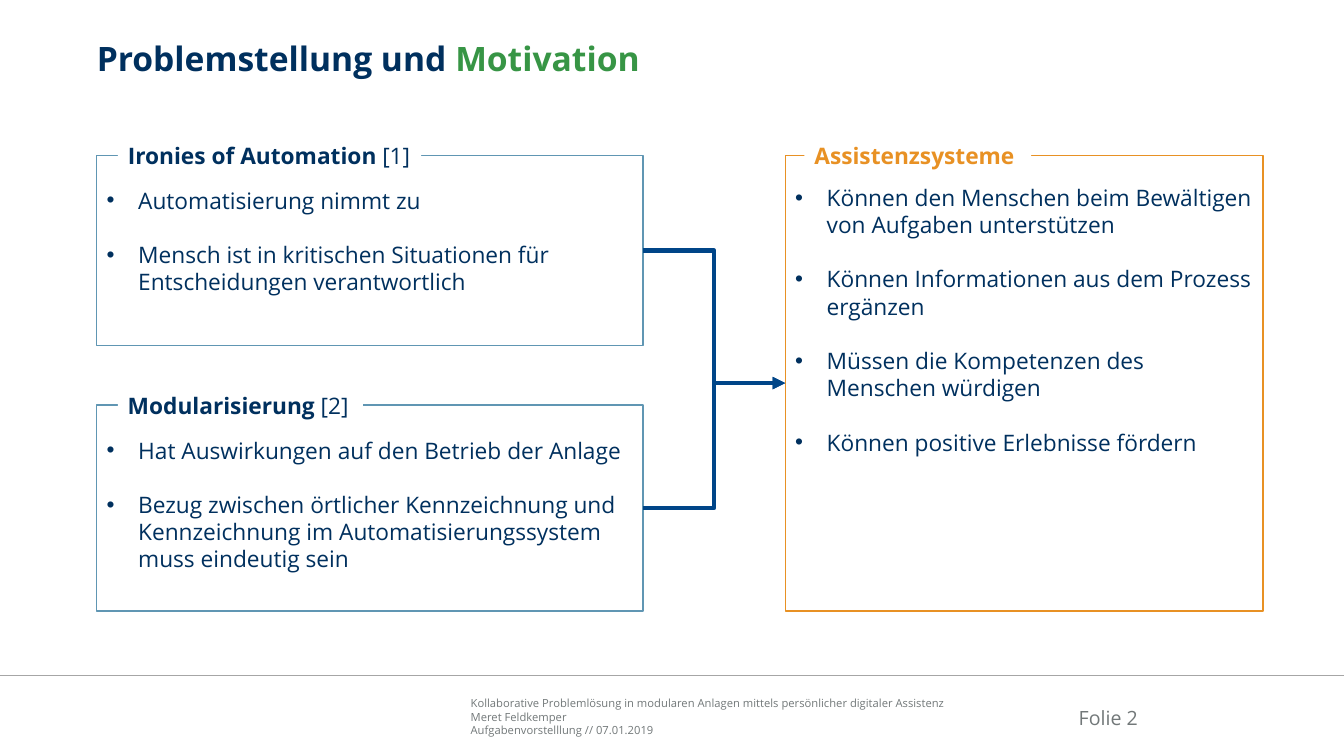
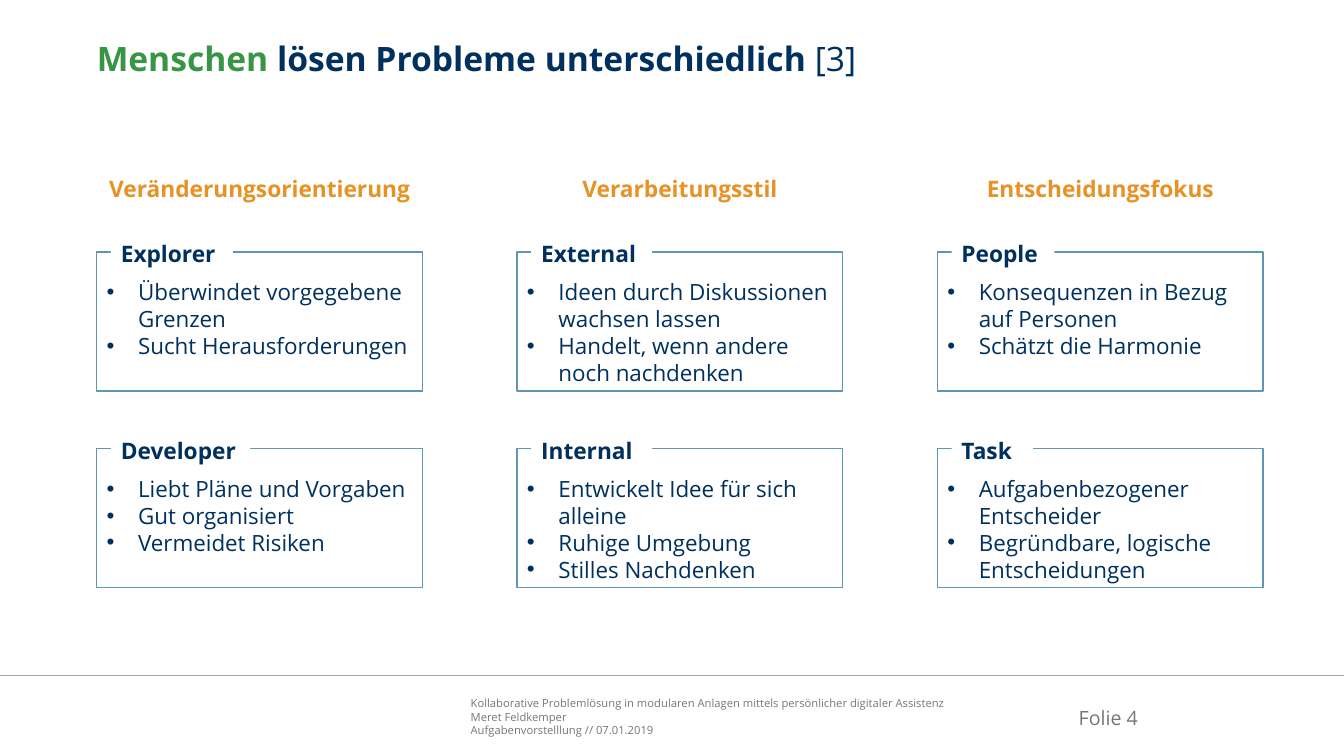
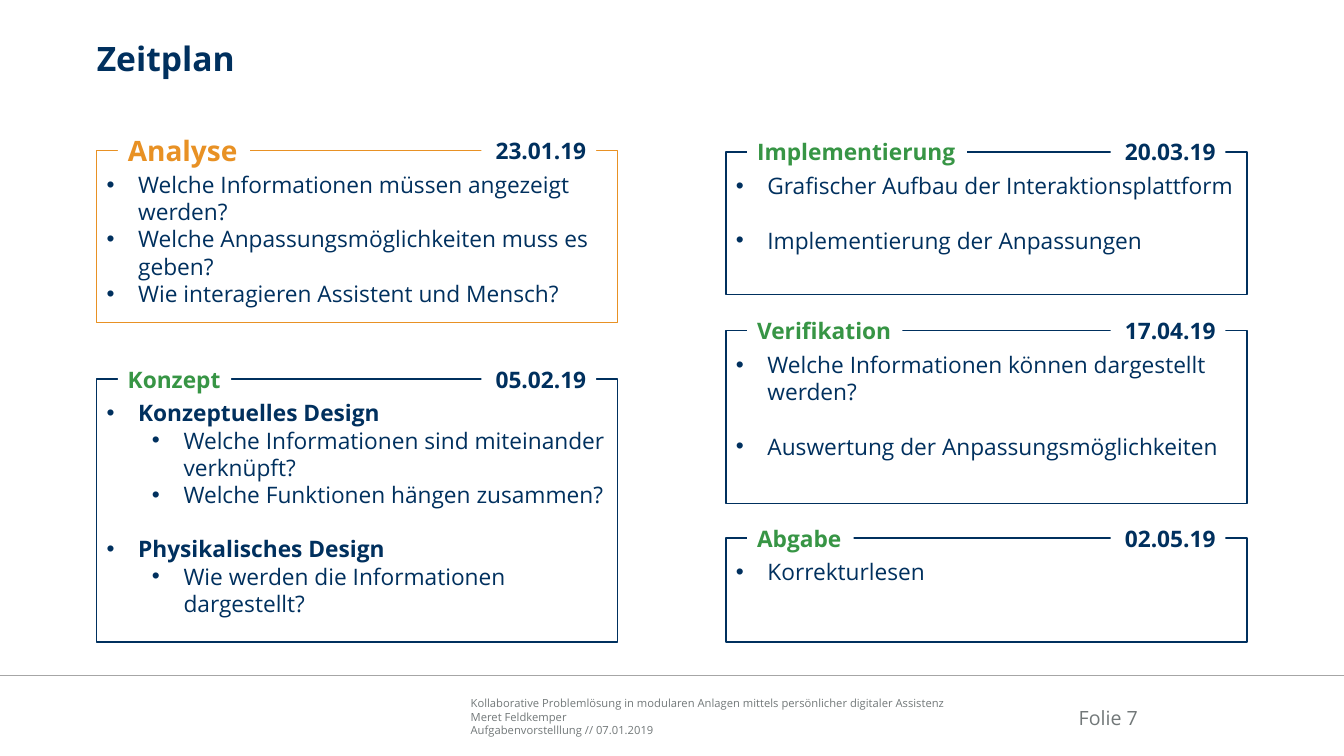
from lxml import etree
from pptx import Presentation
from pptx.dml.color import RGBColor
from pptx.enum.shapes import MSO_CONNECTOR, MSO_SHAPE
from pptx.enum.text import MSO_ANCHOR, PP_ALIGN
from pptx.oxml.ns import qn
from pptx.util import Pt

RECT = MSO_SHAPE.RECTANGLE
ELBOW = MSO_CONNECTOR.ELBOW
STRAIGHT = MSO_CONNECTOR.STRAIGHT
TOP, MIDDLE, BOTTOM = MSO_ANCHOR.TOP, MSO_ANCHOR.MIDDLE, MSO_ANCHOR.BOTTOM
LEFT, CENTER, RIGHT = PP_ALIGN.LEFT, PP_ALIGN.CENTER, PP_ALIGN.RIGHT

FONT = "Open Sans"
NAVY, BLUE, STEEL = "00305E", "004588", "6096B3"
GREEN, ORANGE, WHITE = "379545", "E89124", "FFFFFF"
GREY, RULE = "727879", "A6A6A6"
SIZE, GAP = 16.2, 19.4
EDGE, WIDE, HIGH = 69.1, 960, 540
FOOTER = (
    "Kollaborative Problemlösung in modularen Anlagen mittels persönlicher digitaler Assistenz",
    "Meret Feldkemper",
    "Aufgabenvorstelllung // 07.01.2019",
)


def color(value):
    return RGBColor.from_string(value)


def place(box):
    return [Pt(value) for value in box]


def add_run(para, text, size=SIZE, tint=NAVY, bold=False):
    run = para.add_run()
    run.text = text
    run.font.name = FONT
    run.font.size = Pt(size)
    run.font.bold = bold
    run.font.color.rgb = color(tint)


def set_frame(frame, anchor=TOP, inset=(0, 0, 0, 0)):
    frame.word_wrap = True
    frame.vertical_anchor = anchor
    frame.margin_left, frame.margin_top, frame.margin_right, frame.margin_bottom = place(inset)
    return frame


def add_line(slide, kind, start, end, tint, width):
    line = slide.shapes.add_connector(kind, *place(start + end))
    line.line.color.rgb = color(tint)
    line.line.width = Pt(width)
    etree.SubElement(line._element.spPr, qn("a:effectLst"))
    return line


def add_rect(slide, box, edge=None):
    rect = slide.shapes.add_shape(RECT, *place(box))
    rect.shadow.inherit = False
    rect.fill.solid()
    rect.fill.fore_color.rgb = color(WHITE)
    if edge:
        rect.line.color.rgb = color(edge)
        rect.line.width = Pt(1)
    else:
        rect.line.fill.background()
    return rect


def add_label(slide, box, runs, align=LEFT):
    frame = set_frame(add_rect(slide, box).text_frame, MIDDLE, (7.2, 3.6, 7.2, 3.6))
    para = frame.paragraphs[0]
    para.alignment = align
    for run in runs:
        add_run(para, **run)


def add_item(para, text, size, gap=0, level=0, bold=False):
    para.alignment = LEFT
    para.level = level
    props = para._p.get_or_add_pPr()
    props.set("marL", str(Pt(22.5 + 32.4 * level)))
    props.set("indent", str(-Pt(22.5)))
    etree.SubElement(props, qn("a:buFont")).set("typeface", "Arial")
    etree.SubElement(props, qn("a:buChar")).set("char", "•")
    para.space_before = Pt(gap)
    add_run(para, text, size, bold=bold)


def add_panel(slide, box, edge, head, span, items, inset, size=SIZE,
              shift=15.1, lift=13.3, tall=26.6):
    left, top, _, _ = box
    rect = add_rect(slide, box, edge)
    frame = set_frame(rect.text_frame, TOP, (7.2, inset, 7.2, 3.6))
    for rank, item in enumerate(items):
        para = frame.add_paragraph() if rank else frame.paragraphs[0]
        add_item(para, size=size, **item)
    add_label(slide, (left + shift, top - lift, span, tall), head)
    return rect


def plain(*texts, gap=0):
    return [dict(text=text, gap=gap if rank else 0) for rank, text in enumerate(texts)]


def strong(text, tint=NAVY, size=SIZE):
    return dict(text=text, tint=tint, size=size, bold=True)


def add_page(deck, number, *runs):
    slide = deck.slides.add_slide(deck.slide_layouts[5])
    title = slide.shapes.title
    title.left, title.top, title.width, title.height = place((EDGE, 27.4, 833, 54))
    para = set_frame(title.text_frame).paragraphs[0]
    para.alignment = LEFT
    for run in runs:
        add_run(para, **run)
    add_line(slide, STRAIGHT, (0, 482.4), (WIDE, 482.4), RULE, 1)
    note = slide.shapes.add_textbox(*place((336.2, 497.5, 353.5, 28.8)))
    frame = set_frame(note.text_frame, BOTTOM)
    for rank, text in enumerate(FOOTER):
        para = frame.add_paragraph() if rank else frame.paragraphs[0]
        add_run(para, text, 8, GREY)
    folio = slide.shapes.add_textbox(*place((741.6, 494.6, 71.3, 36)))
    para = set_frame(folio.text_frame, BOTTOM, (0, 0, 0, 9.6)).paragraphs[0]
    para.alignment = RIGHT
    add_run(para, f"Folie {number}", 14, GREY)
    return slide


def join(slide, start, end):
    line = add_line(slide, ELBOW, (0, 0), (9, 9), BLUE, 3)
    line.begin_connect(start, 3)
    line.end_connect(end, 1)
    stroke = line.line._get_or_add_ln()
    etree.SubElement(stroke, qn("a:tailEnd")).set("type", "triangle")


def add_motive(deck):
    slide = add_page(deck, 2, strong("Problemstellung und ", size=24),
                     strong("Motivation", GREEN, 24))
    irony = add_panel(
        slide, (EDGE, 110.9, 390.2, 136), STEEL,
        [strong("Ironies of Automation "), dict(text="[1]")], 216.7,
        plain("Automatisierung nimmt zu",
              "Mensch ist in kritischen Situationen für Entscheidungen verantwortlich",
              gap=GAP), 22.3)
    module = add_panel(
        slide, (EDGE, 289.4, 390.2, 147), STEEL,
        [strong("Modularisierung "), dict(text="[2]")], 175,
        plain("Hat Auswirkungen auf den Betrieb der Anlage",
              "Bezug zwischen örtlicher Kennzeichnung und Kennzeichnung im "
              "Automatisierungssystem muss eindeutig sein", gap=GAP), 22.3)
    assist = add_panel(
        slide, (560.9, 110.9, 341.2, 325.5), ORANGE,
        [strong("Assistenzsysteme", ORANGE)], 162,
        plain("Können den Menschen beim Bewältigen von Aufgaben unterstützen",
              "Können Informationen aus dem Prozess ergänzen",
              "Müssen die Kompetenzen des Menschen würdigen",
              "Können positive Erlebnisse fördern", gap=GAP), 20.2, shift=13.7)
    for source in (module, irony):
        join(slide, source, assist)


def add_styles(deck):
    slide = add_page(deck, 4, strong("Menschen", GREEN, 24),
                     strong(" lösen Probleme unterschiedlich ", size=24),
                     dict(text="[3]", size=24))
    columns = (
        ("Veränderungsorientierung", (
            ("Explorer", 87.1, ("Überwindet vorgegebene Grenzen", "Sucht Herausforderungen")),
            ("Developer", 99.4, ("Liebt Pläne und Vorgaben", "Gut organisiert",
                                 "Vermeidet Risiken")))),
        ("Verarbeitungsstil", (
            ("External", 86.4, ("Ideen durch Diskussionen wachsen lassen",
                                "Handelt, wenn andere noch nachdenken")),
            ("Internal", 86.4, ("Entwickelt Idee für sich alleine", "Ruhige Umgebung",
                                "Stilles Nachdenken")))),
        ("Entscheidungsfokus", (
            ("People", 73.4, ("Konsequenzen in Bezug auf Personen", "Schätzt die Harmonie")),
            ("Task", 58.3, ("Aufgabenbezogener Entscheider",
                            "Begründbare, logische Entscheidungen")))),
    )
    for col, (name, cards) in enumerate(columns):
        left = EDGE + col * 300.25
        add_label(slide, (left, 116.6, 232.6, 36), [strong(name, ORANGE)], CENTER)
        for row, (head, span, texts) in enumerate(cards):
            add_panel(slide, (left, 180 + row * 140.4, 232.6, 99.4), STEEL, [strong(head)],
                      span, plain(*texts), 19, 16, 10.1, 16.6, 36)


def add_phase(slide, box, head, span, date, items, tint=GREEN, edge=NAVY, size=SIZE):
    left, top, width, _ = box
    add_panel(slide, box, edge, [strong(head, tint, size)], span, items, 14.4)
    add_label(slide, (left + width - 97.5, top - 13.3, 82, 26.6), [strong(date)], RIGHT)


def add_plan(deck):
    slide = add_page(deck, 7, strong("Zeitplan", size=24))
    width, right = 372.2, 518.6
    add_phase(slide, (EDGE, 107.5, width, 123.1), "Analyse", 94.3, "23.01.19",
              plain("Welche Informationen müssen angezeigt werden?",
                    "Welche Anpassungsmöglichkeiten muss es geben?",
                    "Wie interagieren Assistent und Mensch?"), ORANGE, ORANGE, 20)
    add_phase(slide, (EDGE, 270.8, width, 187.7), "Konzept", 81, "05.02.19", [
        dict(text="Konzeptuelles Design", bold=True),
        dict(text="Welche Informationen sind miteinander verknüpft?", level=1),
        dict(text="Welche Funktionen hängen zusammen?", level=1),
        dict(text="Physikalisches Design", bold=True, gap=GAP),
        dict(text="Wie werden die Informationen dargestellt?", level=1),
    ])
    phases = (
        (108.5, 101.7, "Implementierung", 157, "20.03.19",
         ("Grafischer Aufbau der Interaktionsplattform", "Implementierung der Anpassungen")),
        (236.3, 123.2, "Verifikation", 110.9, "17.04.19",
         ("Welche Informationen können dargestellt werden?",
          "Auswertung der Anpassungsmöglichkeiten")),
        (384.3, 74.2, "Abgabe", 76, "02.05.19", ("Korrekturlesen",)),
    )
    for top, high, head, span, date, texts in phases:
        add_phase(slide, (right, top, width, high), head, span, date, plain(*texts, gap=GAP))


def main():
    deck = Presentation()
    deck.slide_width, deck.slide_height = Pt(WIDE), Pt(HIGH)
    add_motive(deck)
    add_styles(deck)
    add_plan(deck)
    deck.save("out.pptx")


if __name__ == "__main__":
    main()
